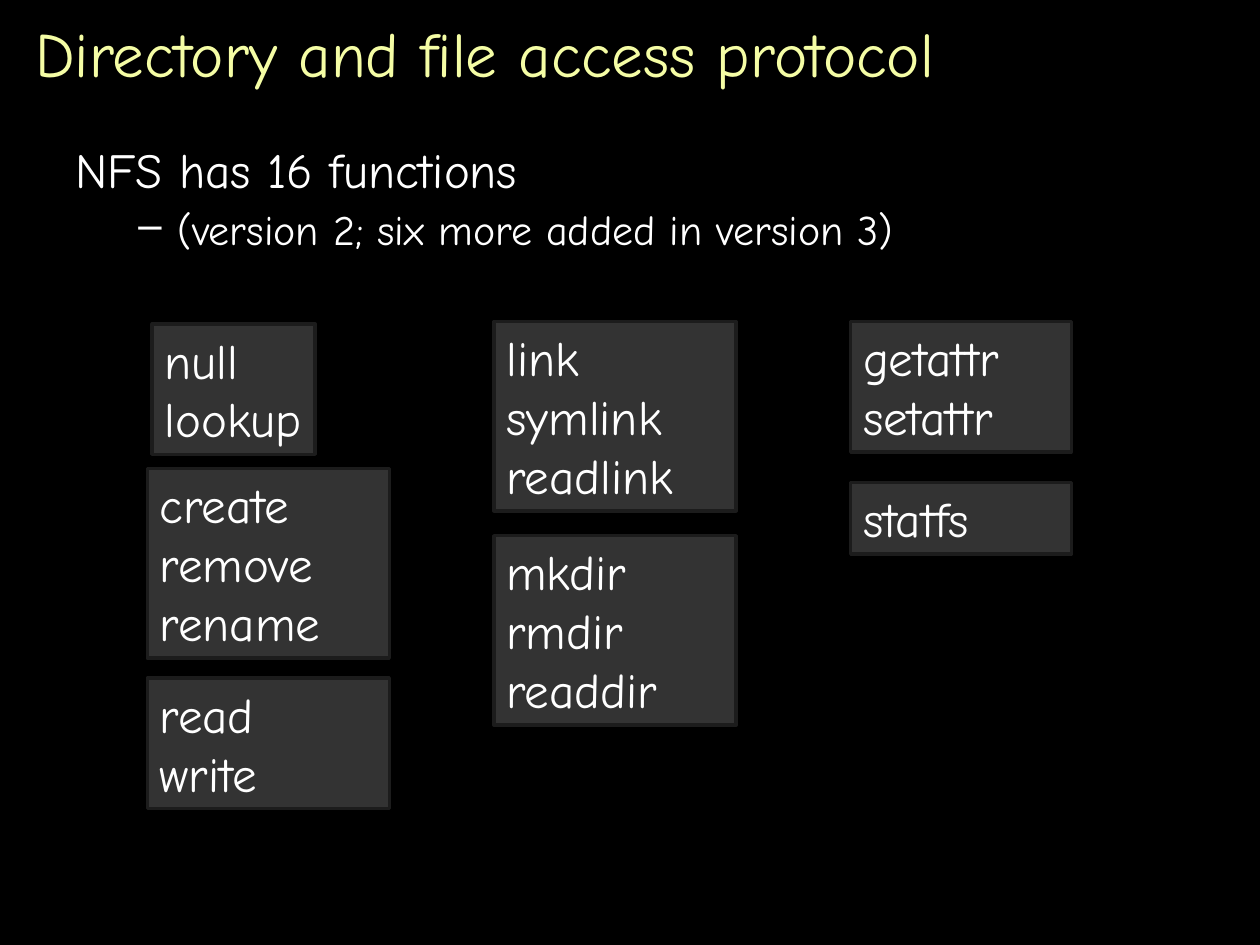
"""Build the slide on the NFS directory and file access protocol."""
from lxml.etree import SubElement
from pptx import Presentation
from pptx.dml.color import RGBColor
from pptx.enum.shapes import MSO_SHAPE
from pptx.enum.text import MSO_ANCHOR, MSO_AUTO_SIZE, PP_ALIGN
from pptx.oxml.ns import qn
from pptx.util import Cm, Pt

FONT = "Comic Neue"
WHITE, YELLOW, BLACK = "FFFFFF", "F5FDA5", "000000"
BOX_FILL, BOX_EDGE = "333333", "1C1C1C"
LINE_HEIGHT, BOX_PADDING = 1.19, 0.25

TITLE = "Directory and file access protocol"
INTRO = "NFS has 16 functions"
DETAIL = "(version 2; six more added in version 3)"
FUNCTION_GROUPS = [
    (3.07, 6.53, 3.28, False, ["null", "lookup"]),
    (2.97, 9.45, 4.88, True, ["create", "remove", "rename"]),
    (9.96, 6.48, 4.88, True, ["link", "symlink", "readlink"]),
    (2.97, 13.67, 4.88, True, ["read", "write"]),
    (9.96, 10.8, 4.88, True, ["mkdir", "rmdir", "readdir"]),
    (17.15, 6.48, 4.45, True, ["getattr", "setattr"]),
    (17.15, 9.73, 4.45, True, ["statfs"]),
]


def color(value):
    return RGBColor.from_string(value)


def add_span(para, text, size, shade=WHITE):
    para.alignment = PP_ALIGN.LEFT
    span = para.add_run()
    span.text = text
    span.font.name = FONT
    span.font.size = Pt(size)
    span.font.color.rgb = color(shade)


def add_text_frame(page, left, top, width, height):
    box = page.shapes.add_textbox(Cm(left), Cm(top), Cm(width), Cm(height))
    box.text_frame.word_wrap = True
    return box.text_frame


def add_title(page):
    frame = add_text_frame(page, 0.46, 0.2, 24.56, 1.7)
    frame.vertical_anchor = MSO_ANCHOR.MIDDLE
    add_span(frame.paragraphs[0], TITLE, 36, YELLOW)


def add_intro(page):
    frame = add_text_frame(page, 1.27, 2.82, 22.86, 3.61)
    intro, detail = frame.paragraphs[0], frame.add_paragraph()
    detail.level = 1
    properties = detail._p.get_or_add_pPr()
    properties.set("marL", str(Cm(2.06)))
    properties.set("indent", str(Cm(-0.79)))
    SubElement(properties, qn("a:buChar"), char="–")
    detail.space_before = Pt(6)
    for para, text, size in ((intro, INTRO, 28), (detail, DETAIL, 24)):
        para.line_spacing = 0.9
        add_span(para, text, size)


def add_function_group(page, left, top, width, wrap, names):
    height = BOX_PADDING + LINE_HEIGHT * len(names)
    box = page.shapes.add_shape(
        MSO_SHAPE.RECTANGLE, Cm(left), Cm(top), Cm(width), Cm(height))
    box.shadow.inherit = False
    box.fill.solid()
    box.fill.fore_color.rgb = color(BOX_FILL)
    box.line.color.rgb = color(BOX_EDGE)
    box.line.width = Pt(2)
    frame = box.text_frame
    frame.word_wrap = wrap
    frame.auto_size = MSO_AUTO_SIZE.SHAPE_TO_FIT_TEXT
    frame.vertical_anchor = MSO_ANCHOR.TOP
    for index, name in enumerate(names):
        para = frame.add_paragraph() if index else frame.paragraphs[0]
        add_span(para, name, 28)


def main():
    deck = Presentation()
    deck.slide_width, deck.slide_height = Cm(25.4), Cm(19.05)
    page = deck.slides.add_slide(deck.slide_layouts[6])
    page.background.fill.solid()
    page.background.fill.fore_color.rgb = color(BLACK)
    add_title(page)
    add_intro(page)
    for group in FUNCTION_GROUPS:
        add_function_group(page, *group)
    deck.save("out.pptx")


if __name__ == "__main__":
    main()
